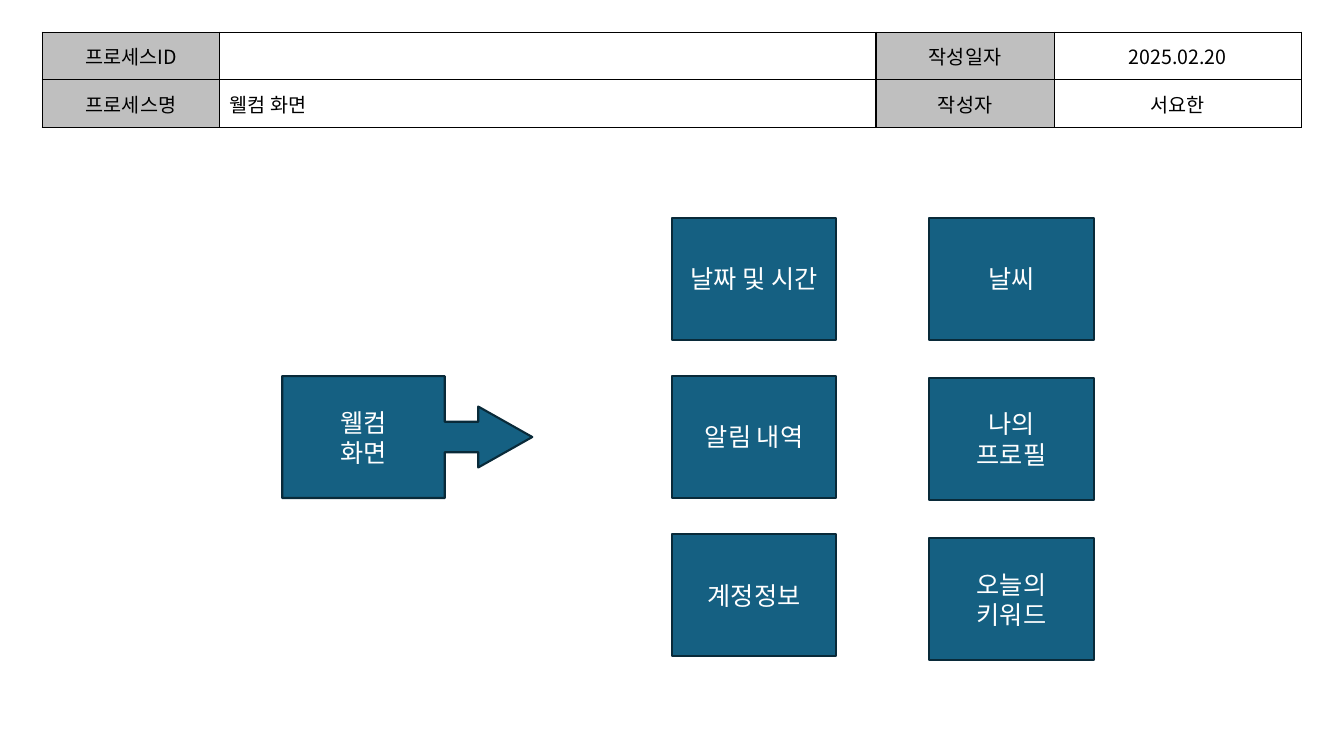
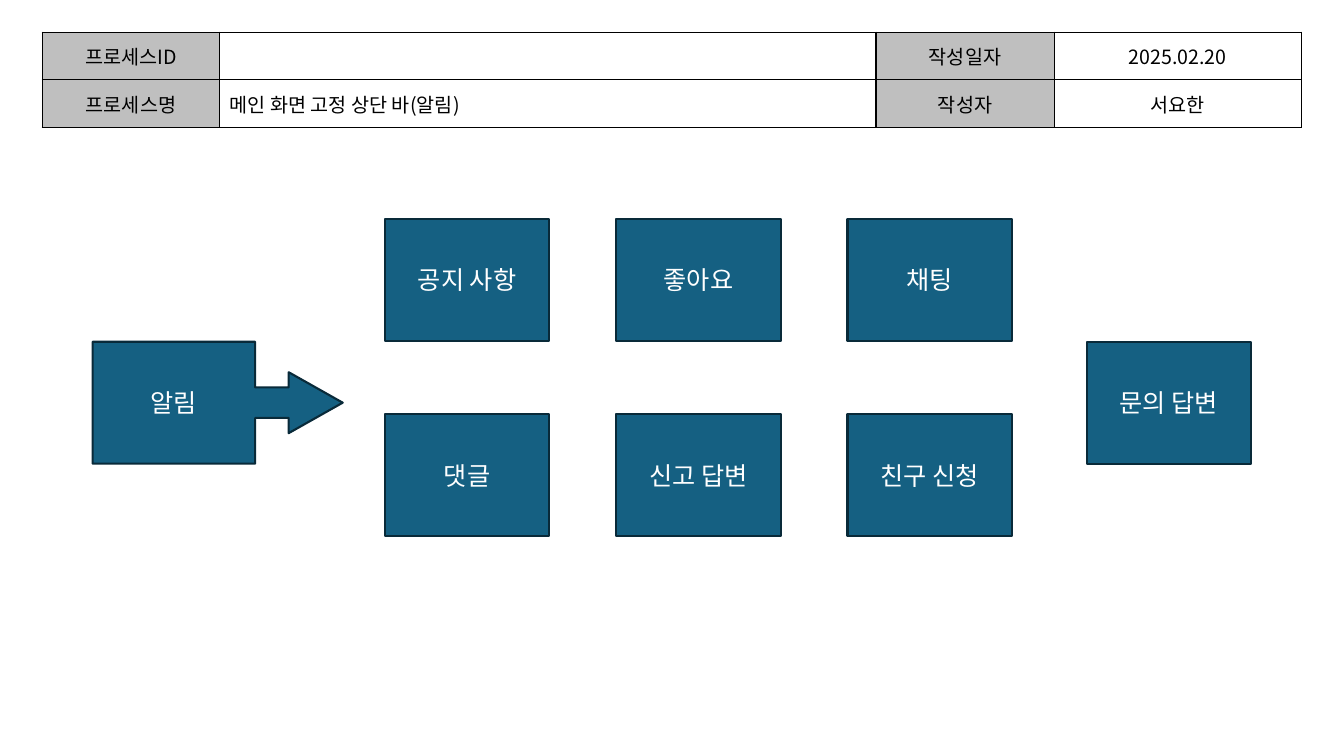
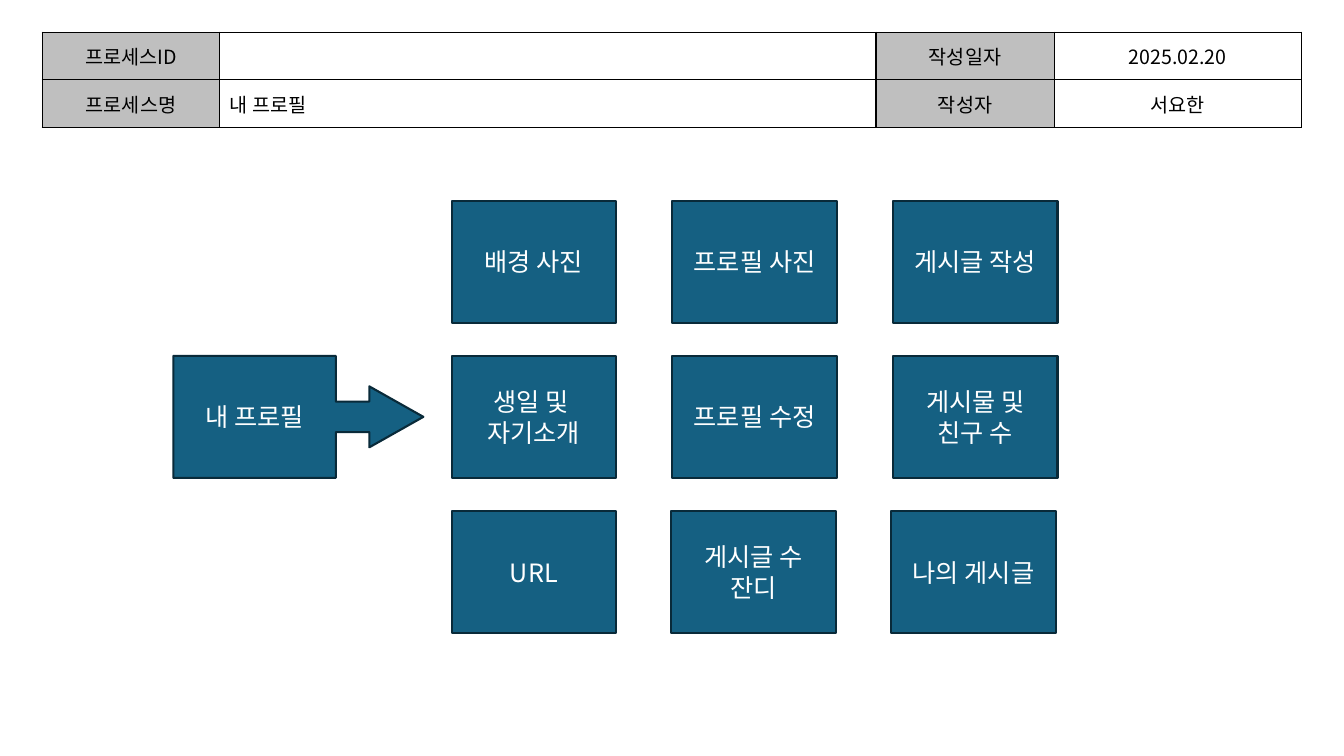
from lxml.etree import SubElement
from pptx import Presentation
from pptx.dml.color import RGBColor as RGB
from pptx.enum.shapes import MSO_SHAPE as SHAPE
from pptx.enum.text import MSO_ANCHOR as ANCHOR, PP_ALIGN as ALIGN
from pptx.oxml import parse_xml
from pptx.oxml.ns import nsdecls, qn
from pptx.util import Pt

# Theme
THEME = {
    "face": "Noto Sans CJK KR",
    "blue": RGB.from_string("156082"),
    "edge": RGB.from_string("092A39"),
    "gray": RGB.from_string("BFBFBF"),
    "black": RGB.from_string("000000"),
    "white": RGB.from_string("FFFFFF"),
    "cell": Pt(14),
    "box": Pt(18),
}

# Shared sizes in points
BOX = (117.4, 87.1)
CALL = (178.6, 87.1)
BEND = (0.25, 0.25, 0.443, 0.65)
COLS = (126.8, 468.7, 127.4, 176.4)
ROWS = (34, 34, 423.3)

# Each slide: process name, callout (text, x, y),
# and grids (x, y, column step, row step, rows of text)
PAGES = [
    ("웰컴 화면", ("웰컴\n화면", 201.6, 268.6), [
        (480, 155.5, 0, 113, [["날짜 및 시간"], ["알림 내역"], ["계정정보"]]),
        (663.8, 155.5, 0, 114.5, [["날씨"], ["나의\n프로필"], ["오늘의\n키워드"]]),
    ]),
    ("메인 화면 고정 상단 바(알림)", ("알림", 66.2, 244.1), [
        (275, 156.2, 165.2, 139.7, [["공지 사항", "좋아요", "채팅"],
                                    ["댓글", "신고 답변", "친구 신청"]]),
        (776.2, 244.1, 0, 0, [["문의 답변"]]),
    ]),
    ("내 프로필", ("내 프로필", 123.8, 254.2), [
        (322.6, 143.3, 157.7, 110.9, [["배경 사진", "프로필 사진", "게시글 작성"],
                                      ["생일 및 \n자기소개", "프로필 수정", "게시물 및\n친구 수"]]),
        (322.6, 365, 157, 0, [["URL", "게시글 수\n잔디", "나의 게시글"]]),
    ]),
]


def write(frame, text, size, color, align):
    frame.text = text
    form = {"name": THEME["face"], "size": size, "bold": False}
    for para in frame.paragraphs:
        para.alignment = align
        for run in para.runs:
            for key, val in form.items():
                setattr(run.font, key, val)
            run.font.color.rgb = color
            SubElement(run.font._element, qn("a:ea"), typeface=THEME["face"])


def draw(slide, kind, x, y, size, text):
    shape = slide.shapes.add_shape(kind, Pt(x), Pt(y), *map(Pt, size))
    shape.shadow.inherit = False
    shape.fill.solid()
    shape.fill.fore_color.rgb = THEME["blue"]
    shape.line.color.rgb = THEME["edge"]
    shape.line.width = Pt(1.5)
    frame = shape.text_frame
    frame.word_wrap = True
    frame.vertical_anchor = ANCHOR.MIDDLE
    write(frame, text, THEME["box"], THEME["white"], ALIGN.CENTER)
    return shape


deck = Presentation()
deck.slide_width, deck.slide_height = Pt(960), Pt(540)

for name, call, grids in PAGES:
    slide = deck.slides.add_slide(deck.slide_layouts[6])

    # Header table with an open body row
    table = slide.shapes.add_table(3, 4, Pt(30.2), Pt(23), Pt(sum(COLS)), Pt(sum(ROWS))).table
    for flag in ("first_row", "horz_banding"):
        setattr(table, flag, False)
    for col, width in zip(table.columns, COLS):
        col.width = Pt(width)
    for row, height in zip(table.rows, ROWS):
        row.height = Pt(height)
    table.cell(2, 0).merge(table.cell(2, 3))
    texts = [["프로세스ID", "", "작성일자", "2025.02.20"],
             ["프로세스명", name, "작성자", "서요한"],
             [""] * 4]
    for r, line in enumerate(texts):
        for c, text in enumerate(line):
            cell = table.cell(r, c)
            cell.vertical_anchor = ANCHOR.MIDDLE
            if r < 2 and c in (0, 2):
                cell.fill.solid()
                cell.fill.fore_color.rgb = THEME["gray"]
            else:
                cell.fill.background()
            if text:
                align = ALIGN.LEFT if c == 1 else ALIGN.CENTER
                write(cell.text_frame, text, THEME["cell"], THEME["black"], align)
            # Borders: the body row keeps only its top line
            for i, side in enumerate("LRTB"):
                ink = "<a:noFill/>"
                if r < 2 or side == "T":
                    ink = f'<a:solidFill><a:srgbClr val="{THEME["black"]}"/></a:solidFill>'
                rule = f'<a:ln{side} w="{Pt(1)}" {nsdecls("a")}>{ink}</a:ln{side}>'
                cell._tc.get_or_add_tcPr().insert(i, parse_xml(rule))

    # Callout on the left
    text, x, y = call
    arrow = draw(slide, SHAPE.RIGHT_ARROW_CALLOUT, x, y, CALL, text)
    for i, bend in enumerate(BEND):
        arrow.adjustments[i] = bend

    # Boxes in grids
    for x, y, dx, dy, rows in grids:
        for r, line in enumerate(rows):
            for c, text in enumerate(line):
                draw(slide, SHAPE.FLOWCHART_PROCESS, x + c * dx, y + r * dy, BOX, text)

deck.save("out.pptx")
